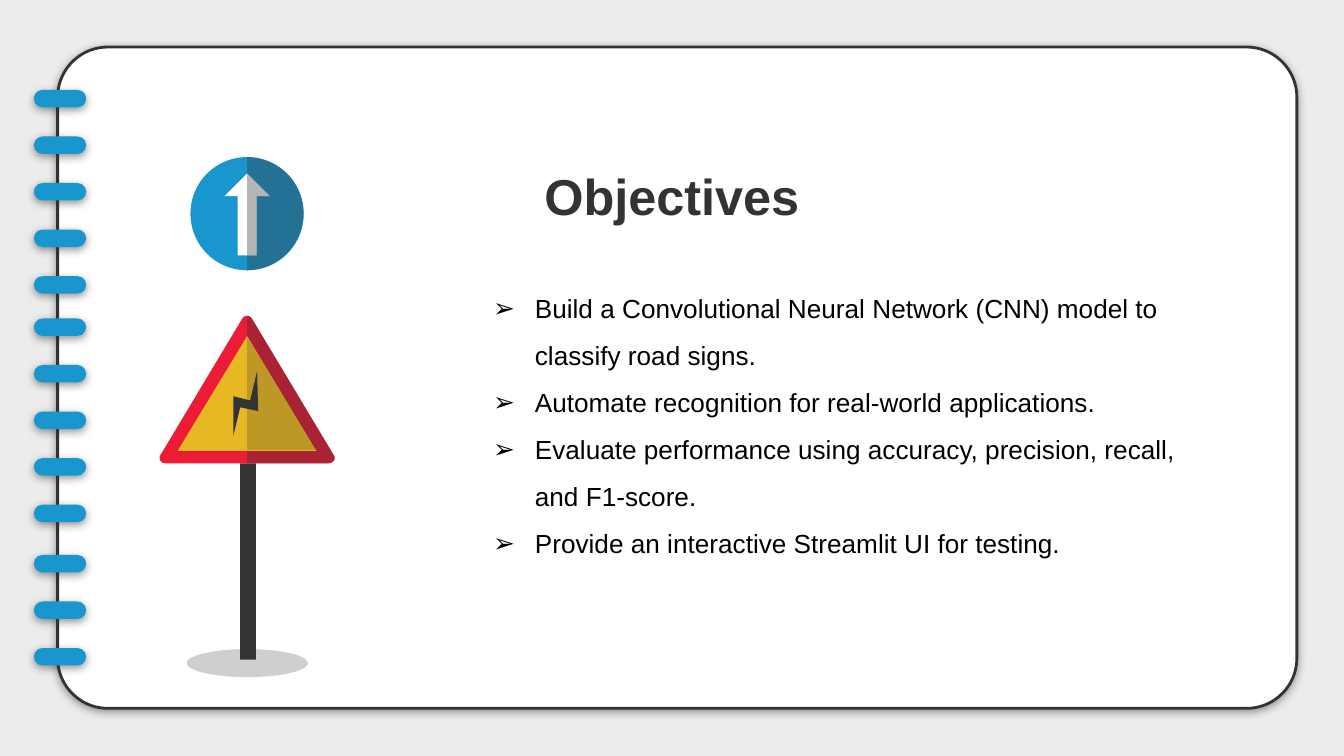
from math import cos, sin, pi
from lxml.etree import SubElement
from pptx import Presentation
from pptx.dml.color import RGBColor
from pptx.enum.shapes import MSO_SHAPE as Kind
from pptx.enum.text import MSO_ANCHOR as Anchor, PP_ALIGN as Align
from pptx.oxml.ns import qn
from pptx.util import Cm, Pt

DARK = RGBColor(0x33, 0x33, 0x33)
BLUE = RGBColor(0x1A, 0x96, 0xCF)
RED = RGBColor(0xEC, 0x1B, 0x36)
GOLD = RGBColor(0xE7, 0xB7, 0x24)
WHITE = RGBColor(0xFF, 0xFF, 0xFF)
BLACK = RGBColor(0, 0, 0)
GREY = RGBColor(0xEC, 0xEC, 0xEC)

# Content
TITLE = "Objectives"
GOALS = [
    "Build a Convolutional Neural Network (CNN) model to classify road signs.",
    "Automate recognition for real-world applications.",
    "Evaluate performance using accuracy, precision, recall, and F1-score.",
    "Provide an interactive Streamlit UI for testing.",
]

# Binder rings: top of each group and its count
RINGS = [(1.7, 5), (6.02, 5), (10.49, 3)]
PITCH = 0.88

# Sign outlines: x from the sign axis, y from the slide top
AXIS = 4.67
DISC_Y, DISC_R = 4.04, 1.07
ARROW = [(0, 3.28), (0.43, 3.71), (0.18, 3.71), (0.18, 4.83), (0, 4.83)]
PANEL = [(0, 6.12), (1.49, 8.59), (0, 8.59)]
SHADE = [(0, 6.38), (1.32, 8.51), (0, 8.51)]
BOLT = [(0.19, 7.01), (0.06, 7.57), (-0.26, 7.49), (-0.26, 8.24),
        (-0.13, 7.7), (0.21, 7.77)]

deck = Presentation()
deck.slide_width, deck.slide_height = Cm(25.4), Cm(14.29)
slide = deck.slides.add_slide(deck.slide_layouts[6])
slide.background.fill.solid()
slide.background.fill.fore_color.rgb = GREY
shapes = slide.shapes


def paint(shape, color, alpha=None):
    shape.shadow.inherit = False
    shape.fill.solid()
    shape.fill.fore_color.rgb = color
    shape.line.fill.background()
    if alpha:
        tint = shape.fill._xPr.find(qn("a:solidFill"))[0]
        SubElement(tint, qn("a:alpha"), val=str(alpha * 1000))
    return shape


def preset(kind, box, color, alpha=None):
    return paint(shapes.add_shape(kind, *map(Cm, box)), color, alpha)


def outline(points, color, alpha=None):
    spots = [(Cm(AXIS + x), Cm(y)) for x, y in points]
    form = shapes.build_freeform(*spots[0])
    form.add_line_segments(spots[1:], close=True)
    return paint(form.convert_to_shape(), color, alpha)


def mirror(points):
    return [(-x, y) for x, y in reversed(points)]


def curve(a, b, c, d, steps=8):
    ts = [i / steps for i in range(steps + 1)]
    return [tuple((1 - t) ** 3 * p + 3 * t * (1 - t) ** 2 * q
                  + 3 * t * t * (1 - t) * r + t ** 3 * s
                  for p, q, r, s in zip(a, b, c, d)) for t in ts]


def drop(shape):
    glow = SubElement(shape._element.spPr.find(qn("a:effectLst")),
                      qn("a:outerShdw"), blurRad=str(Pt(4.5)),
                      dist=str(Pt(1.5)), dir="5400000", rotWithShape="0")
    tint = SubElement(glow, qn("a:srgbClr"), val=str(DARK))
    SubElement(tint, qn("a:alpha"), val="50000")


def style(para, size, color, bold=False):
    font = para.font
    font.name, font.size, font.bold = "Arial", Pt(size), bold
    font.color.rgb = color


# Notebook page and rings
page = preset(Kind.ROUNDED_RECTANGLE, (1.09, 0.89, 23.42, 12.5), WHITE)
page.adjustments[0] = 0.076
page.line.color.rgb, page.line.width = DARK, Pt(1.5)
drop(page)
for top, count in RINGS:
    for i in range(count):
        ring = preset(Kind.ROUNDED_RECTANGLE,
                      (0.64, top + i * PITCH, 0.99, 0.33), BLUE)
        ring.adjustments[0] = 0.5
        drop(ring)

# Round sign with its shaded half
preset(Kind.OVAL, (AXIS - DISC_R, DISC_Y - DISC_R, 2 * DISC_R, 2 * DISC_R), BLUE)
arc = [(DISC_R * sin(pi * i / 60), DISC_Y - DISC_R * cos(pi * i / 60))
       for i in range(61)]
outline(arc, DARK, 36)
outline(ARROW + mirror(ARROW), WHITE)
outline(ARROW, DARK, 36)

# Warning sign on its pole
preset(Kind.OVAL, (3.53, 12.27, 2.29, 0.53), DARK, 23)
preset(Kind.RECTANGLE, (4.54, 8.76, 0.3, 3.71), DARK)
outline(PANEL + mirror(PANEL), GOLD)
frame = (curve((0, 5.97), (0.03, 5.97), (0.07, 5.99), (0.09, 6.02))
         + curve((1.63, 8.59), (1.69, 8.66), (1.64, 8.76), (1.53, 8.76))
         + [(0, 8.76), (0, 8.53), (1.32, 8.53), (0, 6.35)])
outline(mirror(frame), RED)
outline(frame, RED)
outline(frame, DARK, 36)
outline(BOLT, DARK)
outline(SHADE, DARK, 23)

# Goals
body = shapes.add_textbox(Cm(9.07), Cm(5.11), Cm(14.35), Cm(5.54)).text_frame
body.word_wrap = True
for i, goal in enumerate(GOALS):
    para = body.add_paragraph() if i else body.paragraphs[0]
    para.text, para.line_spacing = goal, 1.5
    props = para._p.get_or_add_pPr()
    props.set("marL", str(Cm(0.79)))
    props.set("indent", str(-Cm(0.79)))
    SubElement(SubElement(props, qn("a:buClr")), qn("a:srgbClr"), val=str(BLACK))
    SubElement(props, qn("a:buFont"), typeface="Arial")
    SubElement(props, qn("a:buChar"), char="➢")
    style(para, 14, BLACK)

# Title
head = shapes.add_textbox(Cm(1.98), Cm(2.9), Cm(21.44), Cm(1.6)).text_frame
head.word_wrap, head.vertical_anchor = True, Anchor.MIDDLE
para = head.paragraphs[0]
para.text, para.alignment = TITLE, Align.CENTER
style(para, 27, DARK, True)

deck.save("out.pptx")
